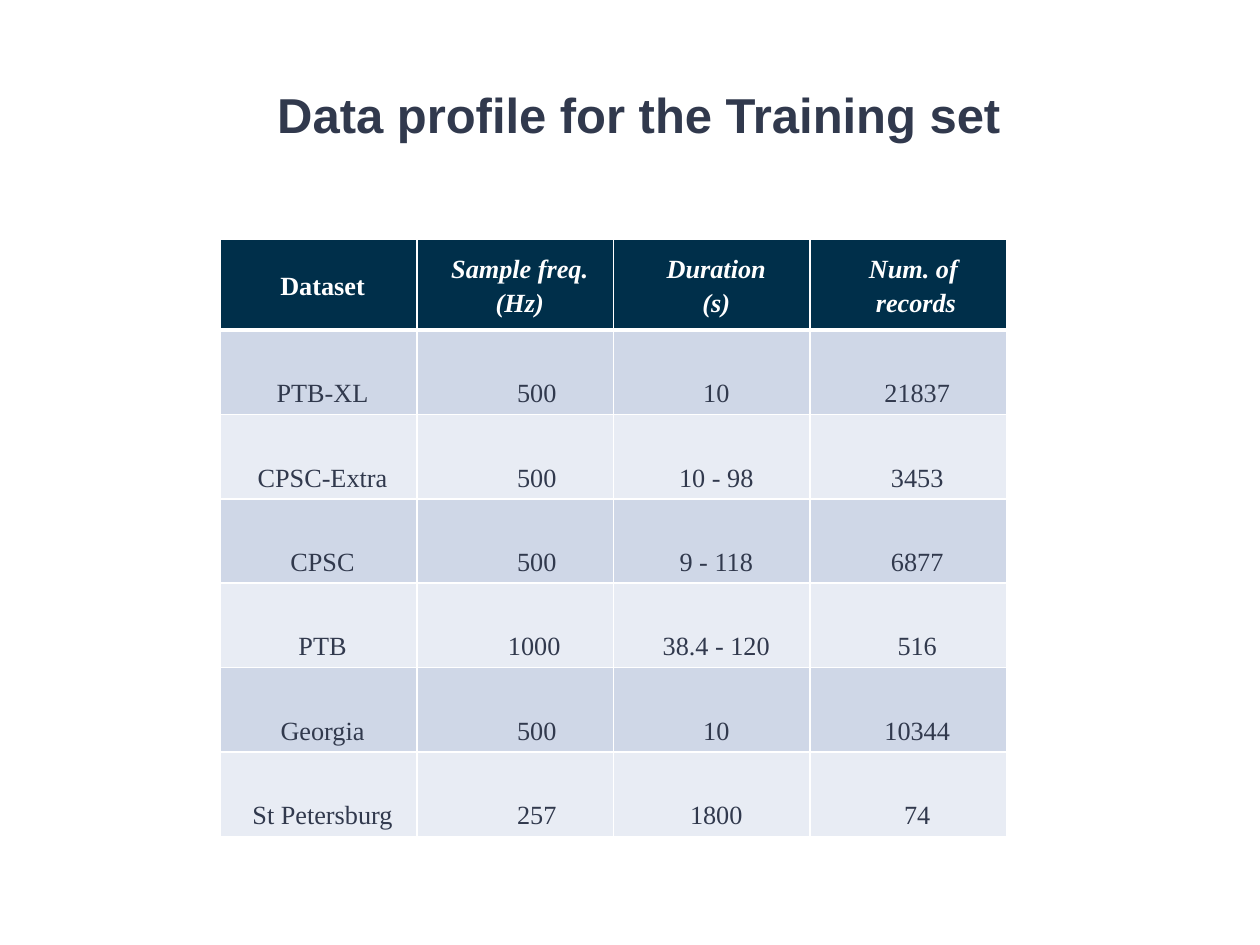
import pptx
import pptx.dml.color
import pptx.enum.text
import pptx.oxml
import pptx.oxml.ns
import pptx.util
from pptx.util import Inches

RGBColor = pptx.dml.color.RGBColor
INK = RGBColor(0x31, 0x39, 0x4D)
WHITE = RGBColor(0xFF, 0xFF, 0xFF)
HEADER_FILL = RGBColor(0x00, 0x2F, 0x4A)
BAND_FILLS = (RGBColor(0xCF, 0xD7, 0xE7), RGBColor(0xE8, 0xEC, 0xF4))

HEADERS = ("Dataset", "Sample freq.\n(Hz)", "Duration\n(s)", "Num. of\nrecords")
RECORDS = (
    ("PTB-XL", "500", "10", "21837"),
    ("CPSC-Extra", "500", "10 - 98", "3453"),
    ("CPSC", "500", "9 - 118", "6877"),
    ("PTB", "1000", "38.4 - 120", "516"),
    ("Georgia", "500", "10", "10344"),
    ("St Petersburg", "257", "1800", "74"),
)
HEADER_INDENTS = (0.06, 0.07, 0.07, 0.08)
BODY_INDENTS = (0.06, 0.34, 0.07, 0.14)
COLUMN_WIDTH = 1.56
HEADER_HEIGHT = 0.72
ROW_HEIGHT = 0.67


def clear_margins(target):
    target.margin_left = target.margin_right = 0
    target.margin_top = target.margin_bottom = 0


def format_paragraph(para, size, font_name, color, bold=False, italic=False):
    para.alignment = pptx.enum.text.PP_ALIGN.CENTER
    for span in para.runs:
        span.font.size = pptx.util.Pt(size)
        span.font.name = font_name
        span.font.bold = bold
        span.font.italic = italic
        span.font.color.rgb = color


def indent(para, inches):
    para._p.get_or_add_pPr().set("marL", str(Inches(inches)))


def add_borders(cell, bottom_width):
    """Draw white cell edges; call before filling, as the schema puts lines first."""
    properties = cell._tc.get_or_add_tcPr()
    for side, width in (("L", 1), ("R", 1), ("T", 1), ("B", bottom_width)):
        properties.append(pptx.oxml.parse_xml(
            f'<a:ln{side} {pptx.oxml.ns.nsdecls("a")} w="{pptx.util.Pt(width)}">'
            f'<a:solidFill><a:srgbClr val="{WHITE}"/></a:solidFill></a:ln{side}>'))


def fill_cell(cell, text, color, bottom_width=1):
    add_borders(cell, bottom_width)
    cell.fill.solid()
    cell.fill.fore_color.rgb = color
    clear_margins(cell)
    cell.vertical_anchor = pptx.enum.text.MSO_ANCHOR.MIDDLE
    cell.text_frame.text = text


def fill_header(table):
    for column, text in enumerate(HEADERS):
        cell = table.cell(0, column)
        fill_cell(cell, text, HEADER_FILL, bottom_width=3)
        for number, para in enumerate(cell.text_frame.paragraphs):
            format_paragraph(para, 15, "Times New Roman", WHITE,
                             bold=True, italic=column > 0)
            para.line_spacing = 1.15
            indent(para, HEADER_INDENTS[column])
            if number:
                para.space_before = pptx.util.Pt(0.3)
    indent(table.cell(0, 3).text_frame.paragraphs[1], 0.12)


def fill_body(table):
    for row, record in enumerate(RECORDS, start=1):
        for column, text in enumerate(record):
            cell = table.cell(row, column)
            fill_cell(cell, text, BAND_FILLS[(row - 1) % 2])
            para = cell.text_frame.paragraphs[0]
            format_paragraph(para, 15, "Times New Roman", INK)
            para.line_spacing = 2.5
            # The four-digit frequency sits slightly further left.
            indent(para, 0.3 if text == "1000" else BODY_INDENTS[column])


def add_data_table(page):
    height = HEADER_HEIGHT + ROW_HEIGHT * len(RECORDS)
    table = page.shapes.add_table(
        len(RECORDS) + 1, len(HEADERS), Inches(1.75), Inches(1.9),
        Inches(COLUMN_WIDTH * len(HEADERS)), Inches(height)).table
    for column in table.columns:
        column.width = Inches(COLUMN_WIDTH)
    for number, row in enumerate(table.rows):
        row.height = Inches(ROW_HEIGHT if number else HEADER_HEIGHT)
    fill_header(table)
    fill_body(table)


def set_title(page, text):
    title = page.shapes.title
    title.left, title.top = Inches(1.17), Inches(0.67)
    title.width, title.height = Inches(7.8), Inches(0.47)
    frame = title.text_frame
    frame.text = text
    clear_margins(frame)
    frame.word_wrap = True
    frame.auto_size = pptx.enum.text.MSO_AUTO_SIZE.SHAPE_TO_FIT_TEXT
    frame.vertical_anchor = pptx.enum.text.MSO_ANCHOR.TOP
    format_paragraph(frame.paragraphs[0], 28, "Arial", INK, bold=True)


def main():
    deck = pptx.Presentation()
    deck.slide_width, deck.slide_height = Inches(10), Inches(7.5)
    page = deck.slides.add_slide(deck.slide_layouts.get_by_name("Title Only"))
    set_title(page, "Data profile for the Training set")
    add_data_table(page)
    deck.save("out.pptx")


if __name__ == "__main__":
    main()
